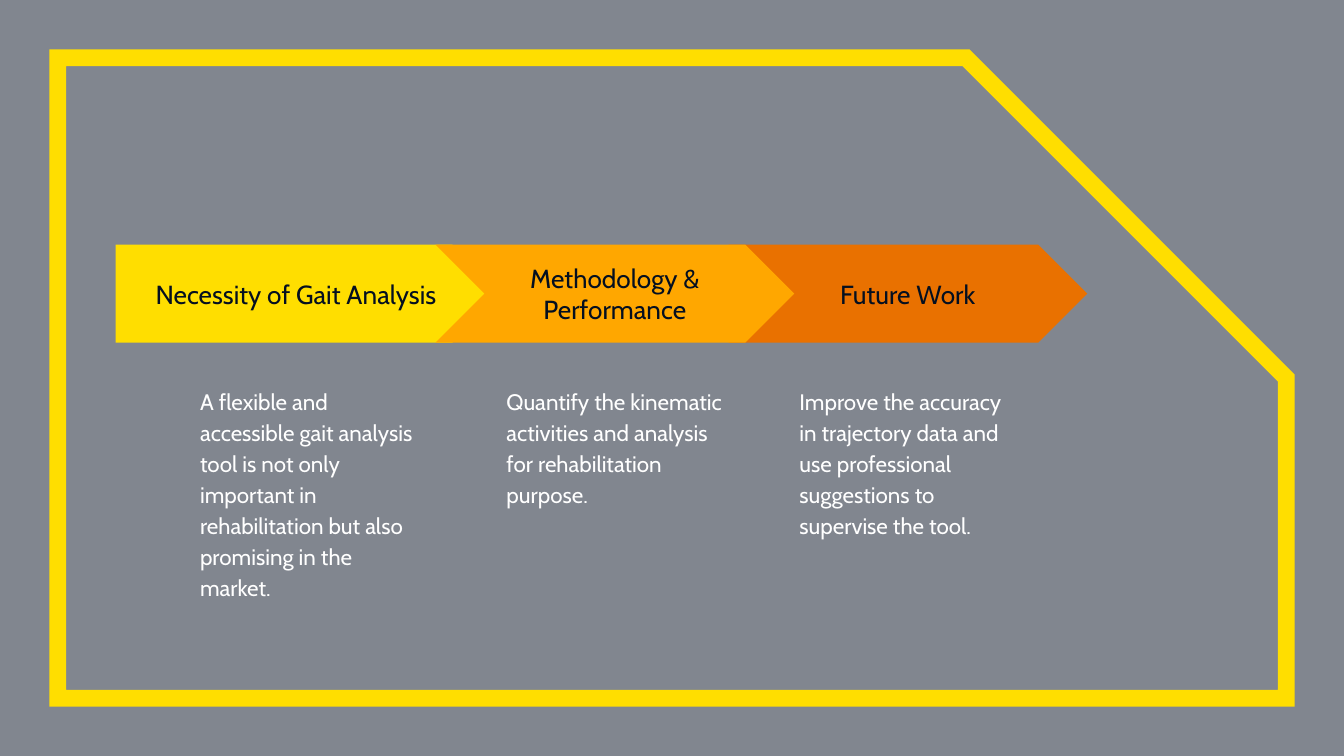
import pptx
import pptx.dml.color
import pptx.enum.shapes
import pptx.enum.text
import pptx.oxml
import pptx.oxml.ns
import pptx.util

WIDTH = 10
HEIGHT = WIDTH * 9 / 16
MARGIN = 0.43
ARROW_LEFT, ARROW_TOP, ARROW_HEIGHT = 2 * MARGIN, 1.82, 0.73
OVERLAP = 0.49
BODY_TOP, BODY_WIDTH, BODY_HEIGHT = 2.76, 1.81, 1.56
NAVY, YELLOW, WHITE = "040F20", "FFDE00", "FFFFFF"
SHAPES = pptx.enum.shapes.MSO_SHAPE
STAGES = [
    (SHAPES.PENTAGON, 2.87, YELLOW, "Necessity of Gait Analysis",
     "A flexible and accessible gait analysis tool is not only important in "
     "rehabilitation but also promising in the market."),
    (SHAPES.CHEVRON, 2.67, "FFA700", "Methodology & Performance",
     "Quantify the kinematic activities and analysis for rehabilitation purpose."),
    (SHAPES.CHEVRON, 2.67, "E97100", "Future Work",
     "Improve the accuracy in trajectory data and use professional suggestions "
     "to supervise the tool."),
]


def paint(fill, color):
    """Set a solid fill from a hex string."""
    fill.solid()
    fill.fore_color.rgb = pptx.dml.color.RGBColor.from_string(color)


def inches(*lengths):
    """Convert lengths in inches to slide units."""
    return [pptx.util.Inches(length) for length in lengths]


def add_element(parent, tag, **attributes):
    """Append a DrawingML element with the given attributes."""
    parent.append(parent.makeelement(pptx.oxml.ns.qn(tag), attributes))


def add_plain_shape(slide, kind, *box):
    """Add a preset shape with no shadow, fill or line."""
    shape = slide.shapes.add_shape(kind, *inches(*box))
    shape.shadow.inherit = False
    shape.fill.background()
    shape.line.fill.background()
    return shape


def write(shape, text, size, color, align, anchor, spacing):
    """Put one wrapped, formatted paragraph in a shape."""
    frame = shape.text_frame
    frame.text = text
    frame.word_wrap = True
    frame.vertical_anchor = anchor
    (frame.margin_left, frame.margin_top,
     frame.margin_right, frame.margin_bottom) = inches(0.1, 0.1, 0.1, 0.1)
    paragraph = frame.paragraphs[0]
    paragraph.alignment = align
    paragraph.line_spacing = spacing
    font = paragraph.runs[0].font
    font.name, font.size = "Cabin", pptx.util.Pt(size)
    paint(font.fill, color)


def add_backdrop(slide):
    """Cover the slide with a half-transparent navy tint."""
    paint(slide.background.fill, WHITE)
    tint = add_plain_shape(slide, SHAPES.RECTANGLE, 0, 0, WIDTH, HEIGHT)
    paint(tint.fill, NAVY)
    color = tint.fill._xPr.find(".//" + pptx.oxml.ns.qn("a:srgbClr"))
    add_element(color, "a:alpha", val="50000")


def add_frame(slide):
    """Outline the slide with a snipped, sharp-cornered frame."""
    frame = add_plain_shape(slide, SHAPES.SNIP_1_RECTANGLE, MARGIN, MARGIN,
                            WIDTH - 2 * MARGIN, HEIGHT - 2 * MARGIN)
    frame.adjustments[0] = 0.5
    frame.line.width = pptx.util.Pt(9)
    paint(frame.line.fill, YELLOW)
    add_element(frame.line._get_or_add_ln(), "a:miter", lim="800000")


def place_stages():
    """Pair each stage with its left edge, the last stage at the back."""
    placed = []
    left = ARROW_LEFT
    for stage in STAGES:
        placed.append((left, *stage))
        left += stage[1] - OVERLAP
    return placed[-1:] + placed[:-1]


def add_stage(slide, left, kind, width, color, title, body):
    """Add an arrow with its title and the description centred below it."""
    arrow = add_plain_shape(slide, kind, left, ARROW_TOP, width, ARROW_HEIGHT)
    arrow.adjustments[0] = 0.5
    paint(arrow.fill, color)
    write(arrow, title, 14, NAVY, pptx.enum.text.PP_ALIGN.CENTER,
          pptx.enum.text.MSO_ANCHOR.MIDDLE, 1.0)
    body_left = left + (width - BODY_WIDTH) / 2
    description = slide.shapes.add_textbox(
        *inches(body_left, BODY_TOP, BODY_WIDTH, BODY_HEIGHT))
    write(description, body, 12, WHITE, pptx.enum.text.PP_ALIGN.LEFT,
          pptx.enum.text.MSO_ANCHOR.TOP, 1.15)


def main():
    """Build the three-stage process slide."""
    presentation = pptx.Presentation()
    presentation.slide_width, presentation.slide_height = inches(WIDTH, HEIGHT)
    slide = presentation.slides.add_slide(presentation.slide_layouts[6])
    add_backdrop(slide)
    add_frame(slide)
    for stage in place_stages():
        add_stage(slide, *stage)
    presentation.save("out.pptx")


if __name__ == "__main__":
    main()
